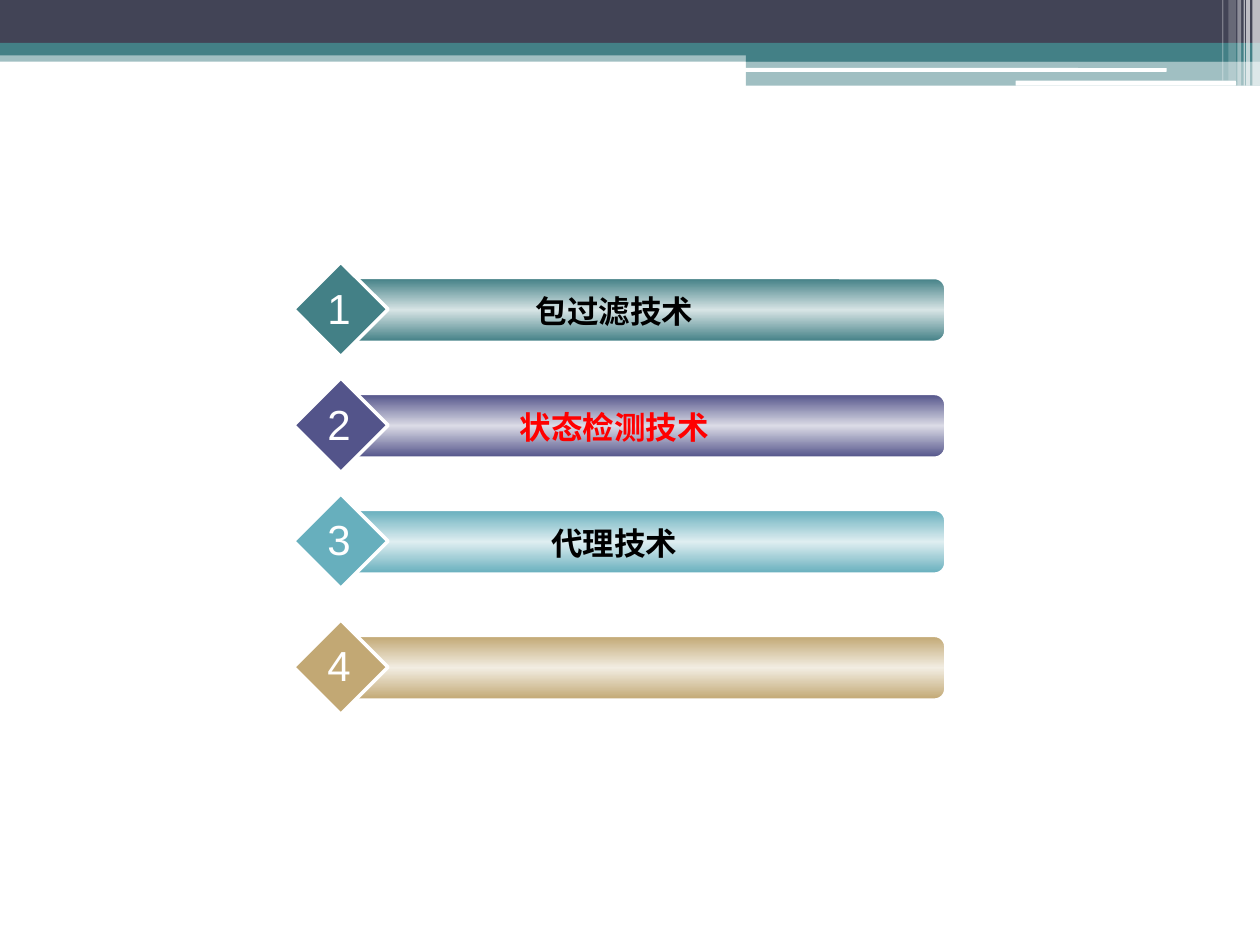
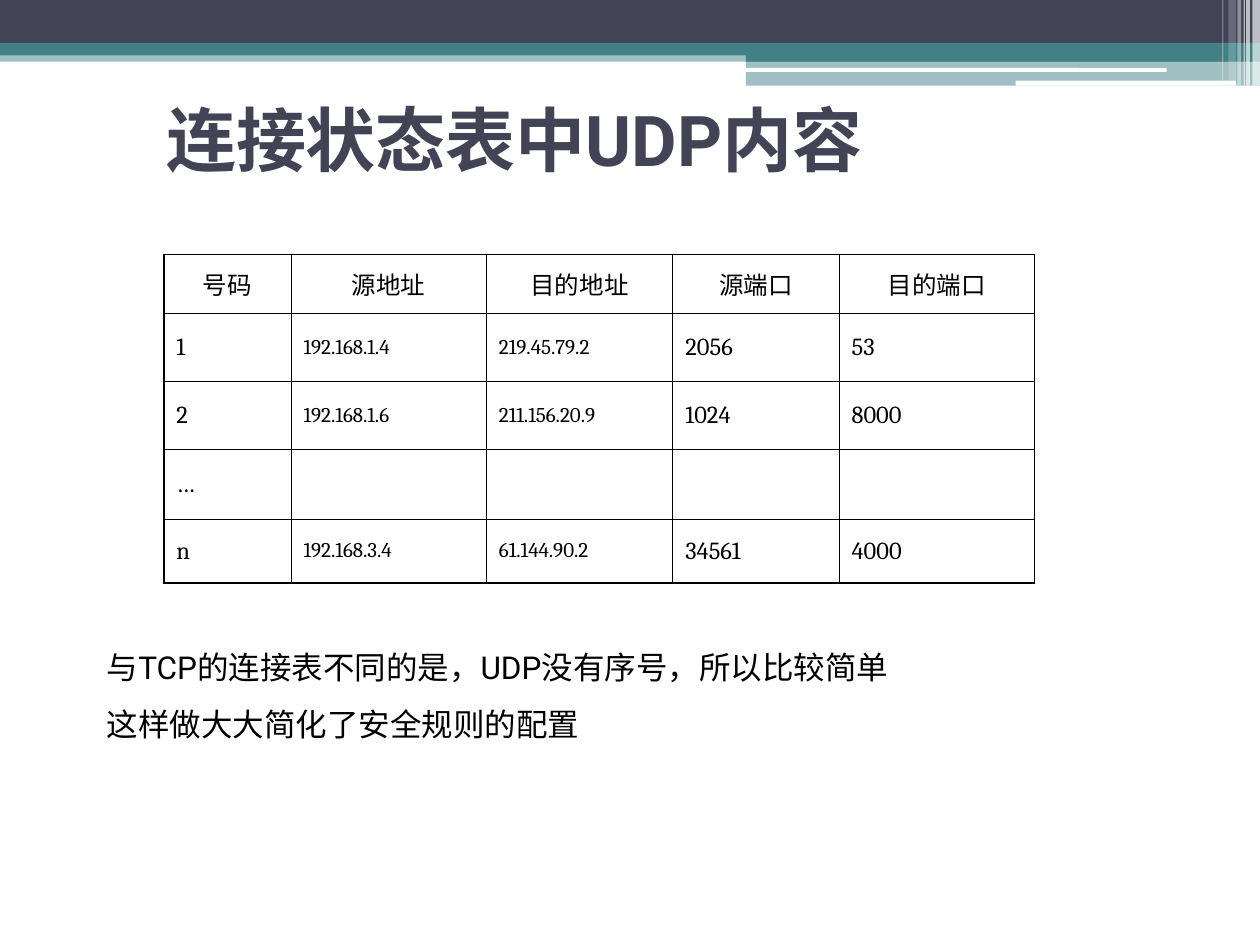
import copy
import dataclasses
from typing import Any

import lxml.etree
import pptx
import pptx.dml.color
import pptx.enum.shapes
import pptx.enum.text
import pptx.oxml.ns
import pptx.shapes.autoshape
import pptx.slide
import pptx.table
import pptx.text.text
import pptx.util

Inches = pptx.util.Inches
Pt = pptx.util.Pt
RGBColor = pptx.dml.color.RGBColor
Kind = pptx.enum.shapes.MSO_SHAPE
Align = pptx.enum.text.PP_ALIGN
Anchor = pptx.enum.text.MSO_ANCHOR
qn = pptx.oxml.ns.qn

WHITE = RGBColor(0xFF, 0xFF, 0xFF)
BLACK = RGBColor(0x00, 0x00, 0x00)
RED = RGBColor(0xFF, 0x00, 0x00)
SLATE = RGBColor(0x42, 0x44, 0x56)
TEAL = RGBColor(0x43, 0x80, 0x86)
PALE_TEAL = RGBColor(0xD7, 0xE4, 0xE5)
VIOLET = RGBColor(0x53, 0x54, 0x8A)
PALE_VIOLET = RGBColor(0xDB, 0xDB, 0xE6)
AQUA = RGBColor(0x67, 0xAF, 0xBD)
PALE_AQUA = RGBColor(0xDF, 0xEE, 0xF1)
SAND = RGBColor(0xC2, 0xA8, 0x74)
PALE_SAND = RGBColor(0xF2, 0xED, 0xE2)

TITLE = {"name": "Roboto", "size": Pt(40), "bold": True}
BODY = {"name": "Roboto", "size": Pt(18)}
LABEL = {"name": "Arial", "size": Pt(18), "bold": True}
NUMBER = {"name": "Arial", "size": Pt(24)}
ENTRY = {"name": "Cambria", "size": Pt(14)}
ADDRESS = {"name": "Cambria", "size": Pt(12)}


@dataclasses.dataclass(frozen=True)
class Box:
    left: float
    top: float
    width: float
    height: float

    def sides(self) -> list[pptx.util.Length]:
        return [Inches(side) for side in dataclasses.astuple(self)]


@dataclasses.dataclass(frozen=True)
class Band:
    box: Box
    color: RGBColor
    alpha: int = 100
    kind: Kind = Kind.RECTANGLE


@dataclasses.dataclass(frozen=True)
class Topic:
    top: float
    color: RGBColor
    pale: RGBColor
    label: str = ""
    ink: RGBColor = BLACK


def stripe(left: float, width: float, height: float, alpha: int) -> Band:
    return Band(Box(left, 0, width, height), WHITE, alpha)


BANDS = [
    Band(Box(0, 0.4, 10, 0.09), TEAL, 50),
    Band(Box(0, 0, 10, 0.34), SLATE),
    Band(Box(0, 0.34, 10, 0.1), TEAL),
    Band(Box(5.92, 0.39, 4.08, 0.1), TEAL),
    Band(Box(5.92, 0.48, 4.08, 0.2), TEAL, 50),
    Band(Box(5.91, 0.54, 3.35, 0.03), WHITE, kind=Kind.ROUNDED_RECTANGLE),
    Band(Box(8.06, 0.64, 1.75, 0.04), WHITE, kind=Kind.ROUNDED_RECTANGLE),
    stripe(9.94, 0.06, 0.68, 65),
    stripe(9.89, 0.03, 0.68, 65),
    stripe(9.87, 0.01, 0.68, 60),
    stripe(9.82, 0.03, 0.68, 40),
    stripe(9.75, 0.06, 0.64, 20),
    stripe(9.7, 0.01, 0.64, 30),
]

TOPICS = [
    Topic(2.08, TEAL, PALE_TEAL, "包过滤技术"),
    Topic(3.0, VIOLET, PALE_VIOLET, "状态检测技术", RED),
    Topic(3.92, AQUA, PALE_AQUA, "代理技术"),
    Topic(4.92, SAND, PALE_SAND),
]

ROWS = [
    ["号码", "源地址", "目的地址", "源端口", "目的端口"],
    ["1", "192.168.1.4", "219.45.79.2", "2056", "53"],
    ["2", "192.168.1.6", "211.156.20.9", "1024", "8000"],
    ["…", "", "", "", ""],
    ["n", "192.168.3.4", "61.144.90.2", "34561", "4000"],
]
WIDTHS = [1.01, 1.55, 1.48, 1.32, 1.55]
HEIGHTS = [0.47, 0.54, 0.54, 0.55, 0.51]
ADDRESS_COLUMNS = (1, 2)
THICK, THIN = Pt(1.08), Pt(0.45)


def put(target: Any, values: dict[str, Any]) -> None:
    for name, value in values.items():
        setattr(target, name, value)


def write(
    part: pptx.text.text._Paragraph,
    text: str,
    style: dict[str, Any],
    color: RGBColor,
) -> None:
    run = part.add_run()
    run.text = text
    put(run.font, style)
    run.font.color.rgb = color


def add_text(
    slide: pptx.slide.Slide,
    box: Box,
    lines: list[str],
    style: dict[str, Any],
    color: RGBColor,
    align: Align = Align.LEFT,
    wrap: bool = True,
    gap: float = 0,
) -> pptx.text.text.TextFrame:
    frame = slide.shapes.add_textbox(*box.sides()).text_frame
    frame.word_wrap = wrap
    for index, line in enumerate(lines):
        part = frame.add_paragraph() if index else frame.paragraphs[0]
        part.alignment = align
        if index:
            part.space_before = Pt(gap)
        write(part, line, style, color)
    return frame


def add_shape(
    slide: pptx.slide.Slide, kind: Kind, box: Box, color: RGBColor, edge: float = 0
) -> pptx.shapes.autoshape.Shape:
    """Add a filled shape, with a white outline when edge is above zero."""
    shape = slide.shapes.add_shape(kind, *box.sides())
    shape.shadow.inherit = False
    shape.fill.solid()
    shape.fill.fore_color.rgb = color
    if edge:
        shape.line.color.rgb = WHITE
        shape.line.width = Pt(edge)
    else:
        shape.line.fill.background()
    return shape


def add_band(slide: pptx.slide.Slide, band: Band) -> None:
    shape = add_shape(slide, band.kind, band.box, band.color)
    if band.alpha < 100:
        color = shape._element.spPr.find(qn("a:solidFill"))[0]
        alpha = lxml.etree.SubElement(color, qn("a:alpha"))
        alpha.set("val", str(band.alpha * 1000))


def shade(shape: pptx.shapes.autoshape.Shape, edge: RGBColor, core: RGBColor) -> None:
    """Fill from edge to core and back, top to bottom."""
    shape.fill.gradient()
    shape.fill.gradient_angle = 90
    stops = shape._element.spPr.find(f"{qn('a:gradFill')}/{qn('a:gsLst')}")
    stops.append(copy.deepcopy(stops[0]))
    for stop, place, color in zip(
        shape.fill.gradient_stops, (0, 0.5, 1), (edge, core, edge)
    ):
        stop.position = place
        stop.color.rgb = color


def add_topic(slide: pptx.slide.Slide, number: int, topic: Topic) -> None:
    top = topic.top
    bar = add_shape(
        slide, Kind.ROUNDED_RECTANGLE, Box(2.75, top + 0.13, 4.75, 0.5), topic.color, 1
    )
    shade(bar, topic.color, topic.pale)
    add_shape(slide, Kind.DIAMOND, Box(2.33, top, 0.75, 0.75), topic.color, 2)
    if topic.label:
        box = Box(3, top + 0.19, 3.75, 0.4)
        add_text(slide, box, [topic.label], LABEL, topic.ink, Align.CENTER)
    box = Box(2.5, top + 0.11, 0.38, 0.5)
    add_text(slide, box, [str(number)], NUMBER, WHITE, Align.CENTER, wrap=False)


def set_borders(cell: pptx.table._Cell, widths: dict[str, pptx.util.Length]) -> None:
    """Draw black borders; widths must follow the order L, R, T, B."""
    props = cell._tc.get_or_add_tcPr()
    for index, (side, width) in enumerate(widths.items()):
        line = lxml.etree.Element(qn(f"a:ln{side}"), w=str(int(width)))
        fill = lxml.etree.SubElement(line, qn("a:solidFill"))
        lxml.etree.SubElement(fill, qn("a:srgbClr"), val=str(BLACK))
        props.insert(index, line)


def add_table(slide: pptx.slide.Slide) -> None:
    box = Box(1.3, 2.02, sum(WIDTHS), sum(HEIGHTS))
    table = slide.shapes.add_table(len(ROWS), len(WIDTHS), *box.sides()).table
    put(table, {"first_row": False, "horz_banding": False})
    for column, width in zip(table.columns, WIDTHS):
        column.width = Inches(width)
    for row, height in zip(table.rows, HEIGHTS):
        row.height = Inches(height)
    last_row, last_col = len(ROWS) - 1, len(WIDTHS) - 1
    for r, texts in enumerate(ROWS):
        for c, text in enumerate(texts):
            cell = table.cell(r, c)
            cell.vertical_anchor = Anchor.MIDDLE
            cell.fill.background()
            outer = {"L": c == 0, "R": c == last_col, "T": r == 0, "B": r == last_row}
            set_borders(
                cell, {side: THICK if on else THIN for side, on in outer.items()}
            )
            if text:
                part = cell.text_frame.paragraphs[0]
                part.alignment = Align.LEFT if r else Align.CENTER
                style = ADDRESS if r and c in ADDRESS_COLUMNS else ENTRY
                write(part, text, style, BLACK)


def add_slide(deck: pptx.presentation.Presentation) -> pptx.slide.Slide:
    slide = deck.slides.add_slide(deck.slide_layouts[6])
    for band in BANDS:
        add_band(slide, band)
    return slide


def main() -> None:
    deck = pptx.Presentation()
    put(deck, {"slide_width": Inches(10), "slide_height": Inches(7.5)})

    agenda = add_slide(deck)
    for number, topic in enumerate(TOPICS, 1):
        add_topic(agenda, number, topic)

    states = add_slide(deck)
    title = add_text(
        states, Box(1.22, 0.76, 7.62, 0.68), ["连接状态表中UDP内容"], TITLE, SLATE
    )
    title.vertical_anchor = Anchor.MIDDLE
    notes = [
        "与TCP的连接表不同的是，UDP没有序号，所以比较简单",
        "这样做大大简化了安全规则的配置",
    ]
    add_text(states, Box(0.75, 5.09, 8.66, 0.86), notes, BODY, BLACK, gap=11.2)
    add_table(states)

    deck.save("out.pptx")


if __name__ == "__main__":
    main()
